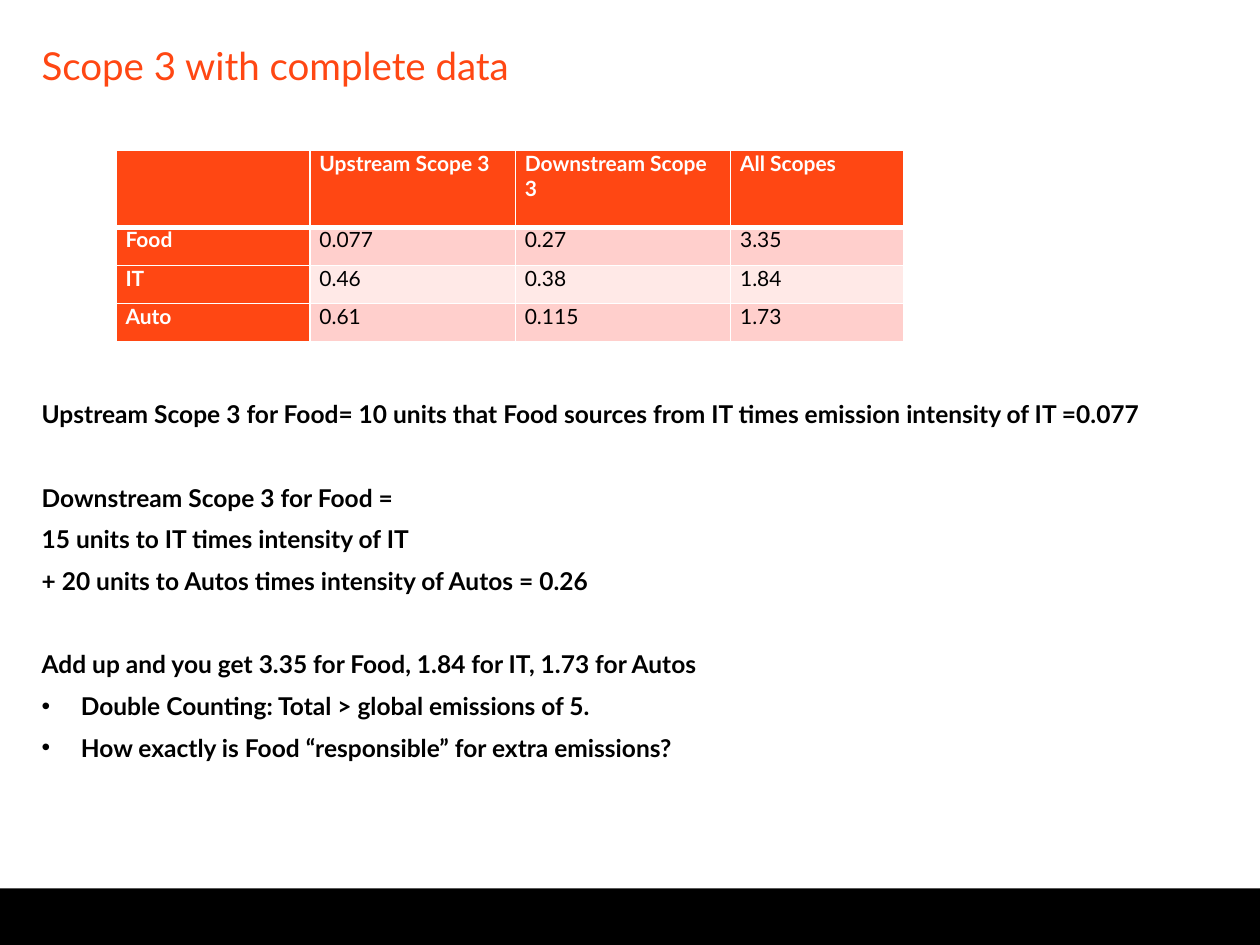
from lxml import etree
from pptx import Presentation
from pptx.dml.color import RGBColor
from pptx.enum.shapes import MSO_SHAPE
from pptx.enum.text import MSO_ANCHOR, MSO_AUTO_SIZE, PP_ALIGN
from pptx.oxml.ns import qn
from pptx.util import Cm, Pt

RECT = MSO_SHAPE.RECTANGLE
TOP = MSO_ANCHOR.TOP
NO_FIT = MSO_AUTO_SIZE.NONE
LEFT = PP_ALIGN.LEFT

ORANGE = RGBColor(0xFF, 0x47, 0x13)
PINK = RGBColor(0xFF, 0xCF, 0xCC)
PALE = RGBColor(0xFF, 0xE9, 0xE7)
WHITE = RGBColor(0xFF, 0xFF, 0xFF)
BLACK = RGBColor(0, 0, 0)

MARGIN, WIDTH = 0.84, 23.7
LINE_GAP, BLOCK_GAP = 7, 30.8

TABLE = [
    ["", "Upstream Scope 3", "Downstream Scope 3", "All Scopes"],
    ["Food", "0.077", "0.27", "3.35"],
    ["IT", "0.46", "0.38", "1.84"],
    ["Auto", "0.61", "0.115", "1.73"],
]
NOTES = [
    ("Upstream Scope 3 for Food= 10 units that Food sources from IT times emission intensity of IT =0.077", 0, False),
    ("Downstream Scope 3 for Food =", BLOCK_GAP, False),
    ("15 units to IT times intensity of IT", LINE_GAP, False),
    ("+ 20 units to Autos times intensity of Autos = 0.26", LINE_GAP, False),
    ("Add up and you get 3.35 for Food, 1.84 for IT, 1.73 for Autos", BLOCK_GAP, False),
    ("Double Counting: Total > global emissions of 5.", LINE_GAP, True),
    ("How exactly is Food “responsible” for extra emissions?", LINE_GAP, True),
]


class Deck:
    font = "Lato"
    frame = {
        "word_wrap": True, "auto_size": NO_FIT, "vertical_anchor": TOP,
        "margin_left": 0, "margin_right": 0, "margin_top": 0, "margin_bottom": 0,
    }
    cell = {
        "margin_left": Cm(0.19), "margin_right": Cm(0.19),
        "margin_top": 0, "margin_bottom": 0, "vertical_anchor": TOP,
    }

    def __init__(self, prs):
        self.slide = prs.slides.add_slide(prs.slide_layouts[5])

    def apply(self, obj, values):
        for name, value in values.items():
            setattr(obj, name, value)

    def add_run(self, p, text, size, color, bold=False):
        p.alignment = LEFT
        r = p.add_run()
        r.text = text
        self.apply(r.font, {"name": self.font, "size": Pt(size), "bold": bold})
        r.font.color.rgb = color

    def bar(self, x, y, w, h, color):
        sp = self.slide.shapes.add_shape(RECT, Cm(x), Cm(y), Cm(w), Cm(h))
        sp.shadow.inherit = False
        sp.fill.solid()
        sp.fill.fore_color.rgb = color
        sp.line.fill.background()

    def title(self, text, x, y, w, h):
        sp = self.slide.shapes.title
        self.apply(sp, {"left": Cm(x), "top": Cm(y), "width": Cm(w), "height": Cm(h)})
        self.apply(sp.text_frame, self.frame)
        self.add_run(sp.text_frame.paragraphs[0], text, 22, ORANGE)

    def bullet(self, p):
        pPr = p._p.get_or_add_pPr()
        pPr.set("marL", str(Cm(0.79)))
        pPr.set("indent", str(-Cm(0.79)))
        etree.SubElement(pPr, qn("a:buFont")).set("typeface", "Arial")
        etree.SubElement(pPr, qn("a:buChar")).set("char", "•")

    def text(self, lines, x, y, w, h):
        tf = self.slide.shapes.add_textbox(Cm(x), Cm(y), Cm(w), Cm(h)).text_frame
        self.apply(tf, self.frame)
        for i, (line, gap, bulleted) in enumerate(lines):
            p = tf.add_paragraph() if i else tf.paragraphs[0]
            p.space_before = Pt(gap)
            self.add_run(p, line, 14, BLACK, True)
            if bulleted:
                self.bullet(p)

    def borders(self, cell, widths):
        tcPr = cell._tc.get_or_add_tcPr()
        for i, (side, width) in enumerate(widths.items()):
            ln = etree.Element(qn(f"a:ln{side}"), w=str(Pt(width)))
            fill = etree.SubElement(ln, qn("a:solidFill"))
            etree.SubElement(fill, qn("a:srgbClr")).set("val", str(WHITE))
            tcPr.insert(i, ln)

    def table(self, rows, x, y, widths, heights):
        table = self.slide.shapes.add_table(
            len(rows), len(widths), Cm(x), Cm(y), Cm(sum(widths)), Cm(sum(heights))
        ).table
        for col, w in zip(table.columns, widths):
            col.width = Cm(w)
        for row, h in zip(table.rows, heights):
            row.height = Cm(h)
        for i, row in enumerate(rows):
            for j, text in enumerate(row):
                cell = table.cell(i, j)
                head = i == 0 or j == 0
                self.apply(cell, self.cell)
                cell.fill.solid()
                cell.fill.fore_color.rgb = ORANGE if head else PINK if i % 2 else PALE
                self.borders(cell, {"L": 1, "R": 1, "T": 3 if i == 1 else 1, "B": 1 if i else 3})
                if text:
                    p = cell.text_frame.paragraphs[0]
                    self.add_run(p, text, 12, WHITE if head else BLACK, head)


def main():
    prs = Presentation()
    prs.slide_width, prs.slide_height = Cm(25.4), Cm(19.05)
    deck = Deck(prs)
    deck.bar(0, 17.91, 25.4, 1.14, BLACK)
    deck.title("Scope 3 with complete data", MARGIN, 0.84, WIDTH, 1.65)
    deck.text(NOTES, MARGIN, 8.05, WIDTH, 8.7)
    deck.table(TABLE, 2.34, 3.03, [3.91, 4.14, 4.34, 3.48], [1.55, 0.77, 0.77, 0.77])
    prs.save("out.pptx")


if __name__ == "__main__":
    main()
